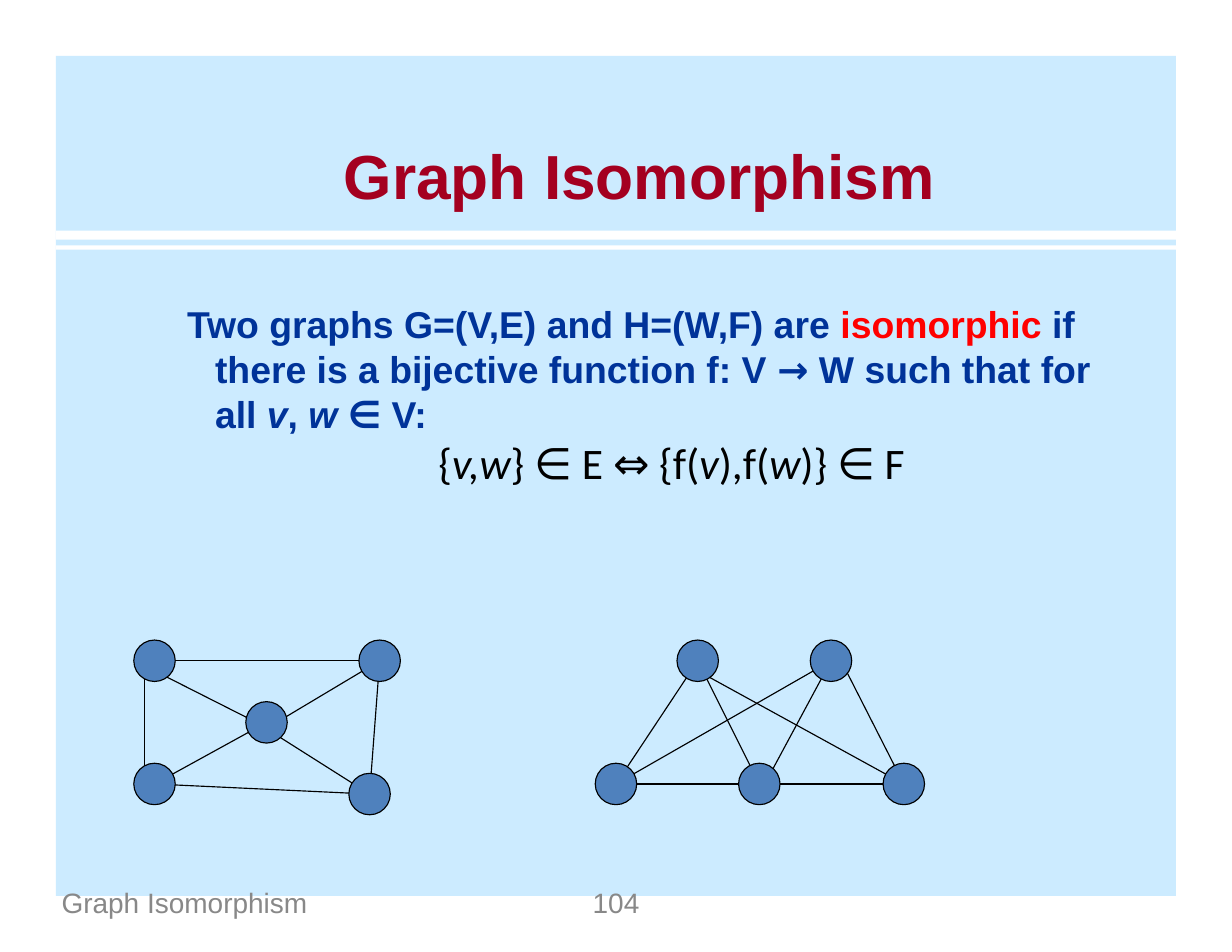
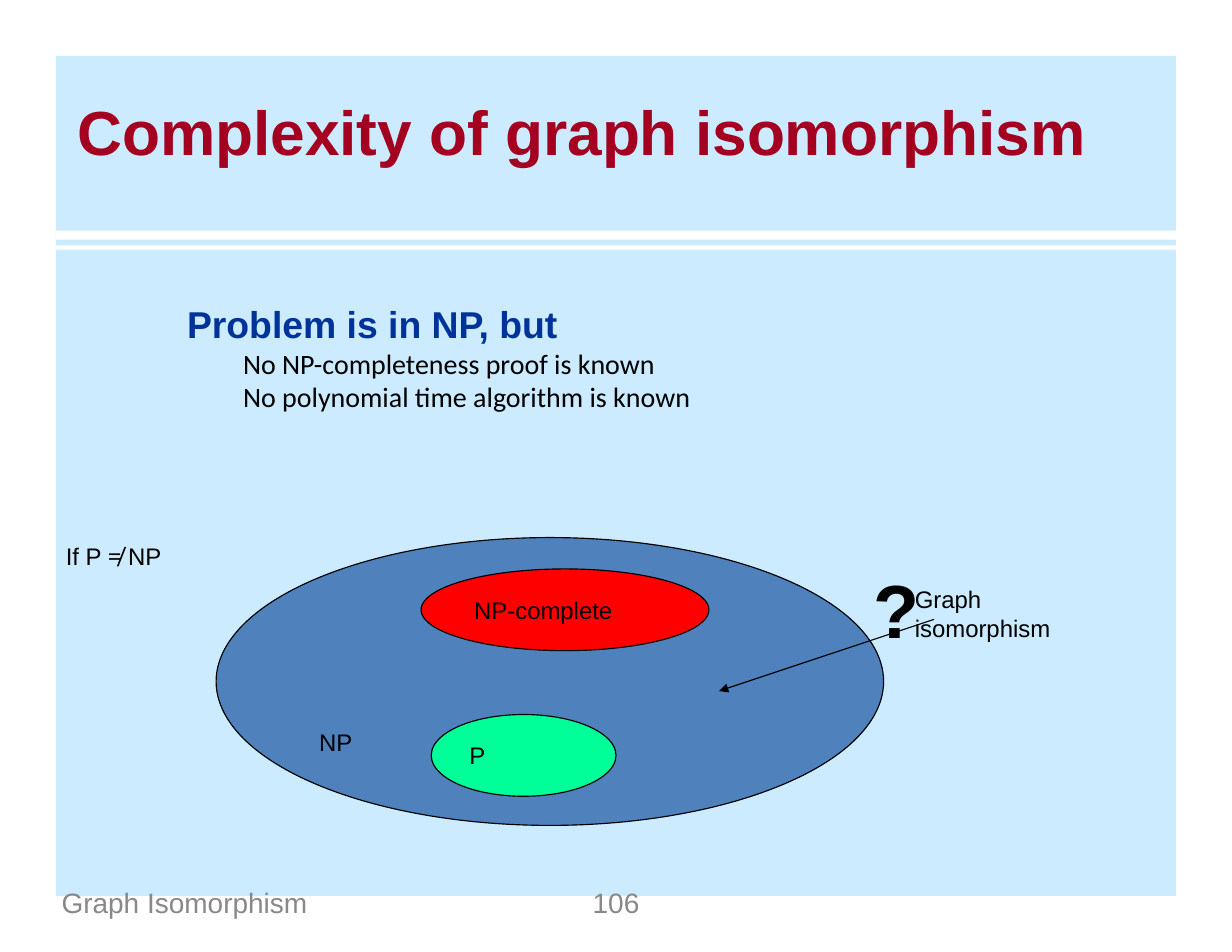
from lxml.etree import SubElement
from pptx import Presentation
from pptx.dml.color import RGBColor
from pptx.enum.shapes import MSO_CONNECTOR, MSO_SHAPE
from pptx.enum.text import MSO_ANCHOR, MSO_AUTO_SIZE, PP_ALIGN
from pptx.oxml.ns import qn
from pptx.util import Inches, Pt

# The page is a grid of one-inch cells
COLUMNS, ROWS = 11, 8.5
MARGIN = 0.5
BAND_WIDTH = COLUMNS - 2 * MARGIN

PANEL, WHITE, BLACK, GREY = "CCEBFF", "FFFFFF", "000000", "888888"
TITLE_RED, BODY_BLUE, RED = "A40020", "003399", "FF0000"
SHAPE_BLUE, GREEN = "4F81BD", "00FF99"
SYMBOLS = "→∈⇔≠"
NODE_SIZE = 0.37
NUDGE = 0.09

TITLE_STYLE = dict(size=40, color=TITLE_RED, bold=True)
BODY_STYLE = dict(size=24, color=BODY_BLUE, bold=True)
DETAIL_STYLE = dict(size=18, font="Calibri", bold=False)
FORMULA_STYLE = dict(DETAIL_STYLE, size=28)
LABEL_STYLE = dict(size=15.4)
FOOTER_STYLE = dict(size=18, color=GREY)


def rgb(value):
    return RGBColor.from_string(value)


def cells(*lengths):
    return [Inches(length) for length in lengths]


def add_runs(paragraph, runs, size, color=BLACK, font="Arial", bold=None):
    """Each run is a text or a (text, changes) pair."""
    for item in runs:
        words, changes = (item, {}) if isinstance(item, str) else item
        run = paragraph.add_run()
        run.text = words
        run.font.name = "Noto Sans" if words in SYMBOLS else font
        run.font.size = Pt(size)
        run.font.bold = bold
        run.font.italic = changes.get("italic")
        run.font.color.rgb = rgb(changes.get("color", color))


def italic(words):
    return words, {"italic": True}


def set_frame(frame, inset_x=0, inset_y=0, anchor=MSO_ANCHOR.TOP):
    frame.word_wrap = True
    frame.auto_size = MSO_AUTO_SIZE.NONE
    frame.vertical_anchor = anchor
    frame.margin_left = frame.margin_right = Inches(inset_x)
    frame.margin_top = frame.margin_bottom = Inches(inset_y)


def paragraphs(frame, count):
    return [frame.paragraphs[0]] + [frame.add_paragraph() for _ in range(count - 1)]


def place(holder, area):
    holder.left, holder.top, holder.width, holder.height = cells(*area)
    set_frame(holder.text_frame)


def add_title(slide, words, area):
    place(slide.shapes.title, area)
    heading = slide.shapes.title.text_frame.paragraphs[0]
    heading.alignment = PP_ALIGN.LEFT
    add_runs(heading, [words], **TITLE_STYLE)


def add_body(slide, area, items):
    """Each item is (level, alignment, style, runs)."""
    body = slide.placeholders[1]
    place(body, area)
    for paragraph, (level, alignment, style, runs) in zip(
            paragraphs(body.text_frame, len(items)), items):
        properties = paragraph._p.get_or_add_pPr()
        properties.set("marL", str(Inches(0.5 * (level + 1))))
        properties.set("indent", str(Inches(-0.25)))
        SubElement(properties, qn("a:buNone"))
        paragraph.level = level
        paragraph.alignment = alignment
        paragraph.space_before = Pt(0)
        add_runs(paragraph, runs, **style)


def add_text(slide, area, lines, style, inset=(0.1, 0.05), alignment=PP_ALIGN.LEFT):
    frame = slide.shapes.add_textbox(*cells(*area)).text_frame
    set_frame(frame, *inset)
    for paragraph, runs in zip(paragraphs(frame, len(lines)), lines):
        paragraph.alignment = alignment
        add_runs(paragraph, runs, **style)


def add_ellipse(slide, area, fill, label=None):
    ellipse = slide.shapes.add_shape(MSO_SHAPE.OVAL, *cells(*area))
    ellipse.shadow.inherit = False
    ellipse.fill.solid()
    ellipse.fill.fore_color.rgb = rgb(fill)
    ellipse.line.color.rgb = rgb(BLACK)
    ellipse.line.width = Pt(0.75)
    if label:
        set_frame(ellipse.text_frame, 0.1, 0.05, MSO_ANCHOR.MIDDLE)
        caption = ellipse.text_frame.paragraphs[0]
        caption.alignment = PP_ALIGN.LEFT
        add_runs(caption, [label], **LABEL_STYLE)


def add_line(slide, start, end, arrow=False):
    connector = slide.shapes.add_connector(
        MSO_CONNECTOR.STRAIGHT, *cells(*start, *end))
    connector.line.color.rgb = rgb(BLACK)
    connector.line.width = Pt(0.75)
    if arrow:
        SubElement(connector.line._get_or_add_ln(), qn("a:tailEnd"), type="triangle")
    SubElement(connector.element.spPr, qn("a:effectLst"))


def add_graph(slide, nodes, edges):
    """Edges join node centres, with optional shifts of start and end in nudges."""
    def shifted(node, shift):
        return [centre + NUDGE * step for centre, step in zip(nodes[node], shift)]

    for ends, *shifts in edges:
        start_shift, end_shift = shifts or [(0, 0), (0, 0)]
        add_line(slide, shifted(ends[0], start_shift), shifted(ends[1], end_shift))
    for x, y in nodes.values():
        add_ellipse(slide, (x - NODE_SIZE / 2, y - NODE_SIZE / 2,
                            NODE_SIZE, NODE_SIZE), SHAPE_BLUE)


def add_backdrop(slide):
    """Draw the panel and its two stripes, then hand them to the layout."""
    bands = [(MARGIN, ROWS - 2 * MARGIN, PANEL), (2.06, 0.08, WHITE), (2.19, 0.04, WHITE)]
    for position, (top, height, fill) in enumerate(bands, start=2):
        band = slide.shapes.add_shape(
            MSO_SHAPE.RECTANGLE, *cells(MARGIN, top, BAND_WIDTH, height))
        band.shadow.inherit = False
        band.fill.solid()
        band.fill.fore_color.rgb = rgb(fill)
        band.line.fill.background()
        slide.slide_layout.shapes.element.insert(position, band.element)


def add_footer(slide, number):
    add_text(slide, (0.55, 7.91, 2.53, 0.3), [["Graph Isomorphism"]],
             FOOTER_STYLE, (0, 0))
    add_text(slide, (3.74, 7.91, 3.52, 0.3), [[number]],
             FOOTER_STYLE, (0, 0), PP_ALIGN.CENTER)


def build_definition(slide):
    add_footer(slide, "104")
    add_title(slide, "Graph Isomorphism", (3.07, 1.23, 6.14, 1.35))
    definition = [
        "Two graphs G=(V,E) and H=(W,F) are ", ("isomorphic", {"color": RED}),
        " if there is a bijective function f: V ", "→", " W such that for all ",
        italic("v"), ", ", italic("w "), "∈", " V:"]
    formula = [
        "{", italic("v,w"), "} ", "∈", " E ", "⇔", " {f(", italic("v"), "),f(",
        italic("w"), ")} ", "∈", " F "]
    add_body(slide, (1.42, 2.69, 8.49, 1.68), [
        (0, PP_ALIGN.LEFT, BODY_STYLE, definition),
        (1, PP_ALIGN.CENTER, FORMULA_STYLE, formula)])

    # Graph G: a four-cycle around a hub
    g_nodes = {"A": (1.38, 5.9), "B": (1.38, 7), "C": (2.38, 6.45),
               "D": (3.39, 5.9), "E": (3.3, 7.09)}
    g_edges = [("CE", (-1, 0), (0, 0)), ("DC", (0, 0), (1, 0)), ("BE",), ("DE",),
               ("AC", (0, 1), (-1, 0)), ("BC",), ("AB", (-1, 0), (-1, 0)), ("AD",)]
    add_graph(slide, g_nodes, g_edges)

    # Graph H: two nodes over a path of three
    h_nodes = {"P": (6.23, 5.9), "Q": (7.42, 5.9), "R": (5.5, 7),
               "S": (6.78, 7), "T": (8.07, 7)}
    h_edges = [("QR",), ("PT", (0, 1), (0, 0)), ("QT", (1, 0), (0, 0)),
               ("QS", (0, 0), (0, 1)), ("PS",), ("PR",), ("RT", (-1, 0), (0, 0))]
    add_graph(slide, h_nodes, h_edges)


def build_complexity(slide):
    add_footer(slide, "106")
    add_title(slide, "Complexity of graph isomorphism", (0.69, 0.83, 9.68, 2.02))
    add_body(slide, (1.42, 2.69, 7.8, 1.01), [
        (0, PP_ALIGN.LEFT, BODY_STYLE, ["Problem is in NP, but"]),
        (1, PP_ALIGN.LEFT, DETAIL_STYLE, ["No NP-completeness proof is known"]),
        (1, PP_ALIGN.LEFT, DETAIL_STYLE, ["No polynomial time algorithm is known"])])

    # Complexity classes
    add_ellipse(slide, (1.93, 4.8, 5.96, 2.57), SHAPE_BLUE)
    add_text(slide, (2.75, 6.45, 0.55, 0.36), [["NP"]], LABEL_STYLE)
    add_ellipse(slide, (3.76, 5.08, 2.57, 0.73), RED, "NP-complete")
    add_ellipse(slide, (3.85, 6.38, 1.65, 0.73), GREEN, "P")

    # Where the problem may lie
    add_text(slide, (8.07, 5.17, 1.5, 0.62), [["Graph"], ["isomorphism"]], LABEL_STYLE)
    add_line(slide, (8.34, 5.53), (6.42, 6.17), arrow=True)
    add_text(slide, (0.49, 4.79, 1.2, 0.36), [["If P ", "≠", " NP"]], LABEL_STYLE)
    add_text(slide, (7.7, 4.98, 0.7, 0.92), [["?"]], dict(size=48.4, bold=True))


def main():
    deck = Presentation()
    deck.slide_width, deck.slide_height = cells(COLUMNS, ROWS)
    layout = deck.slide_layouts[1]
    definition, complexity = [deck.slides.add_slide(layout) for _ in range(2)]
    add_backdrop(definition)
    build_definition(definition)
    build_complexity(complexity)
    deck.save("out.pptx")


if __name__ == "__main__":
    main()
